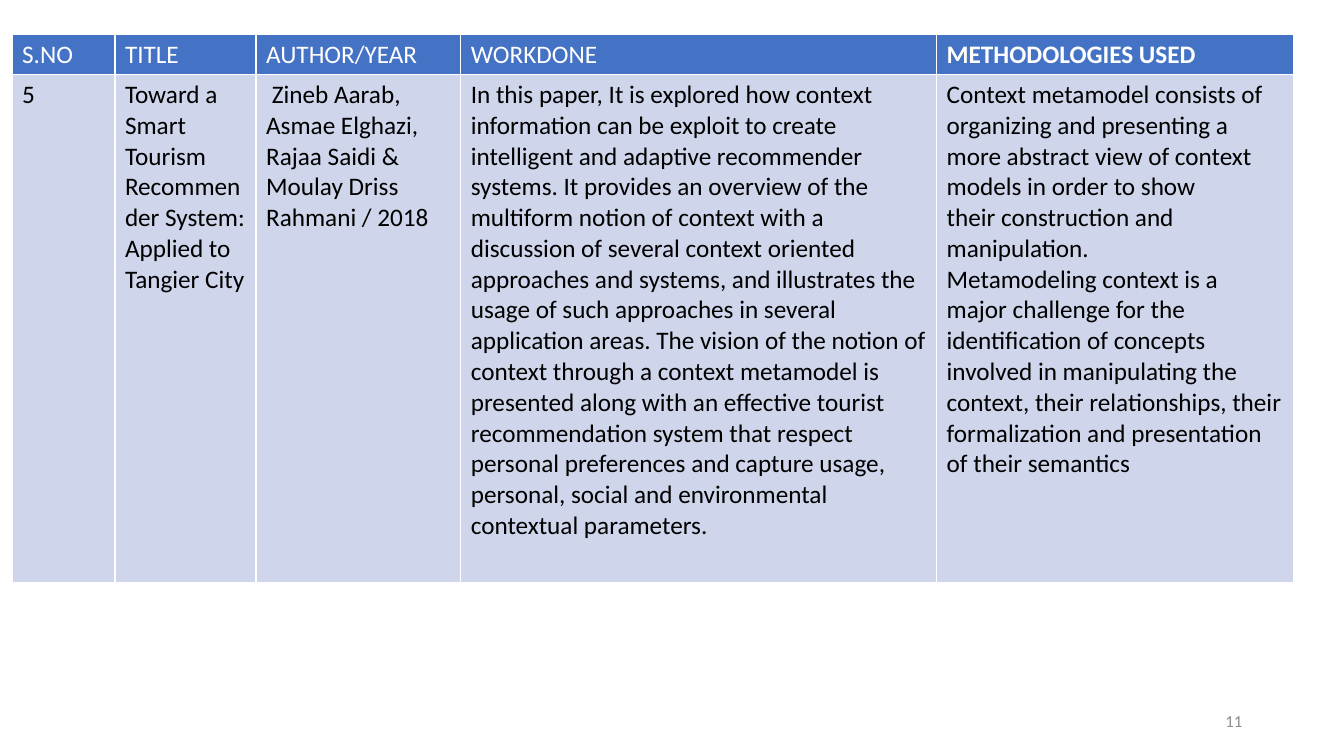
from pptx import Presentation
from pptx.dml.color import RGBColor as Rgb
from pptx.enum.text import MSO_ANCHOR as Anchor, PP_ALIGN as Align
from pptx.util import Inches, Pt

HUES = {"head": "4472C4", "body": "CFD5EA", "light": "FFFFFF", "dark": "000000", "page": "8C8C8C"}
COLS = [1.02, 1.4, 2.03, 4.72, 3.54]
ROWS = [0.4, 5.04]
HEADS = ["S.NO", "TITLE", "AUTHOR/YEAR", "WORKDONE", "METHODOLOGIES USED"]
STUDY = [
    "5",
    "Toward a Smart Tourism Recommender System: Applied to Tangier City",
    " Zineb Aarab, Asmae Elghazi, Rajaa Saidi & Moulay Driss Rahmani / 2018",
    "In this paper, It is explored how context information can be exploit to create "
    "intelligent and adaptive recommender systems. It provides an overview of the "
    "multiform notion of context with a discussion of several context oriented "
    "approaches and systems, and illustrates the usage of such approaches in several "
    "application areas. The vision of the notion of context through a context metamodel "
    "is presented along with an effective tourist recommendation system that respect "
    "personal preferences and capture usage, personal, social and environmental "
    "contextual parameters.",
    "Context metamodel consists of\vorganizing and presenting a more abstract view of "
    "context models in order to show\vtheir construction and manipulation.\n"
    "Metamodeling context is a major challenge for the\videntification of concepts "
    "involved in manipulating the context, their relationships, their\vformalization "
    "and presentation of their semantics",
]


def style(frame, hue, size, bold=False):
    look = {"name": "Calibri", "size": Pt(size), "bold": bold}
    for para in frame.paragraphs:
        for run in para.runs:
            for key, val in look.items():
                setattr(run.font, key, val)
            run.font.color.rgb = Rgb.from_string(HUES[hue])


deck = Presentation()
deck.slide_width, deck.slide_height = Inches(13.33), Inches(7.5)
slide = deck.slides.add_slide(deck.slide_layouts[6])

box = slide.shapes.add_textbox(Inches(9.42), Inches(6.95), Inches(3), Inches(0.4))
page = box.text_frame
page.word_wrap = True
page.vertical_anchor = Anchor.MIDDLE
page.text = "11"
page.paragraphs[0].alignment = Align.RIGHT
style(page, "page", 12)

grid = slide.shapes.add_table(
    len(ROWS), len(COLS), Inches(0.12), Inches(0.34), Inches(sum(COLS)), Inches(sum(ROWS))
).table
for col, width in zip(grid.columns, COLS):
    col.width = Inches(width)
for row, height in zip(grid.rows, ROWS):
    row.height = Inches(height)

for row, texts, fill, ink in zip(grid.rows, [HEADS, STUDY], ["head", "body"], ["light", "dark"]):
    for cell, text in zip(row.cells, texts):
        cell.text = text
        cell.fill.solid()
        cell.fill.fore_color.rgb = Rgb.from_string(HUES[fill])
        style(cell.text_frame, ink, 18, text == HEADS[-1])

deck.save("out.pptx")
